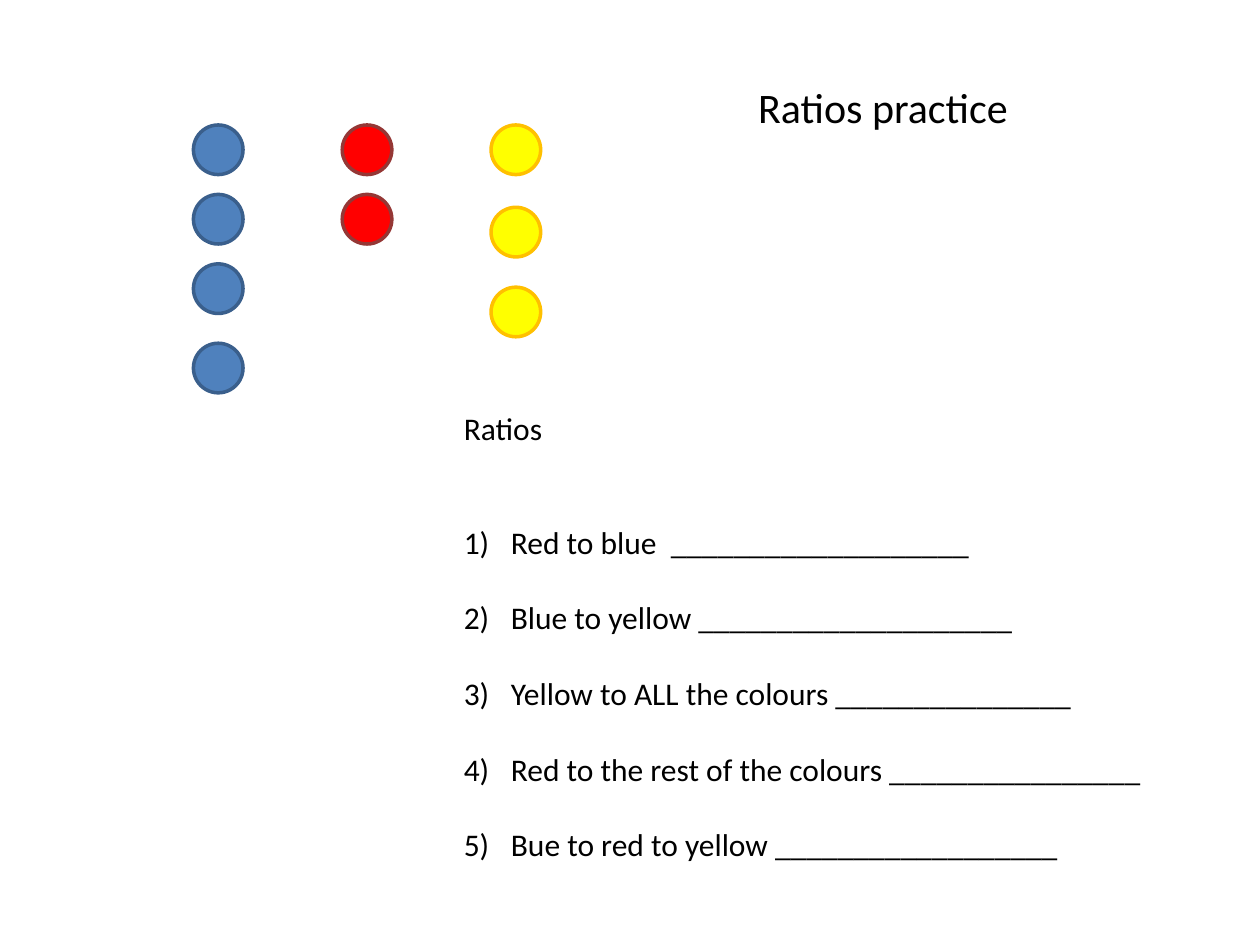
from lxml.etree import SubElement
from pptx import Presentation
from pptx.dml.color import RGBColor
from pptx.enum.shapes import MSO_SHAPE
from pptx.enum.text import MSO_ANCHOR, MSO_AUTO_SIZE, PP_ALIGN
from pptx.oxml.ns import qn
from pptx.util import Cm, Pt

FONT = "Calibri"
COLORS = {
    "text": "000000",
    "blue": "4F81BD", "blue_line": "3A5F8C",
    "red": "FF0000", "red_line": "953735",
    "yellow": "FFFF00", "yellow_line": "FFC000",
}
COUNTERS = [
    ("blue", [0, 1.4, 2.8, 4.4]),
    ("red", [0, 1.4]),
    ("yellow", [0, 1.66, 3.27]),
]
QUESTIONS = [
    "Red to blue  ___________________",
    "Blue to yellow ____________________",
    "Yellow to ALL the colours _______________",
    "Red to the rest of the colours ________________",
    "Bue to red to yellow __________________",
]


def color(name):
    return RGBColor.from_string(COLORS[name])


def add_run(p, text, size):
    r = p.add_run()
    r.text = text
    r.font.name = FONT
    r.font.size = Pt(size)
    r.font.color.rgb = color("text")


def place_title(slide, x, y, w, h):
    sp = slide.shapes.title
    sp.left, sp.top, sp.width, sp.height = Cm(x), Cm(y), Cm(w), Cm(h)
    tf = sp.text_frame
    tf.word_wrap = True
    tf.auto_size = MSO_AUTO_SIZE.NONE
    tf.vertical_anchor = MSO_ANCHOR.TOP
    p = tf.paragraphs[0]
    p.alignment = PP_ALIGN.CENTER
    add_run(p, "Ratios practice", 24)


def add_counters(slide, x, y, pitch, size):
    for col, (name, offsets) in enumerate(COUNTERS):
        for offset in offsets:
            sp = slide.shapes.add_shape(
                MSO_SHAPE.OVAL, Cm(x + col * pitch), Cm(y + offset), Cm(size), Cm(size))
            sp.shadow.inherit = False
            sp.fill.solid()
            sp.fill.fore_color.rgb = color(name)
            sp.line.color.rgb = color(name + "_line")
            sp.line.width = Pt(2)


def number_paragraph(p, indent):
    pPr = p._p.get_or_add_pPr()
    pPr.set("marL", str(Cm(indent)))
    pPr.set("indent", str(-Cm(indent)))
    SubElement(pPr, qn("a:buFont"), typeface="+mj-lt")
    SubElement(pPr, qn("a:buAutoNum"), type="arabicParenR")


def add_questions(slide, x, y, w, h, line=21.6):
    tf = slide.shapes.add_textbox(Cm(x), Cm(y), Cm(w), Cm(h)).text_frame
    tf.word_wrap = True
    add_run(tf.paragraphs[0], "Ratios", 18)
    for i, question in enumerate(QUESTIONS):
        p = tf.add_paragraph()
        number_paragraph(p, 0.95)
        p.space_before = Pt(line if i else 2 * line)
        add_run(p, question, 18)


def main():
    prs = Presentation()
    prs.slide_width, prs.slide_height = Cm(25.4), Cm(19.05)
    slide = prs.slides.add_slide(prs.slide_layouts[5])
    place_title(slide, 13.3, 1.52, 9, 1.27)
    add_counters(slide, 3.9, 2.52, pitch=3, size=1)
    add_questions(slide, 9.1, 8.13, 14.4, 9.5)
    prs.save("out.pptx")


if __name__ == "__main__":
    main()
